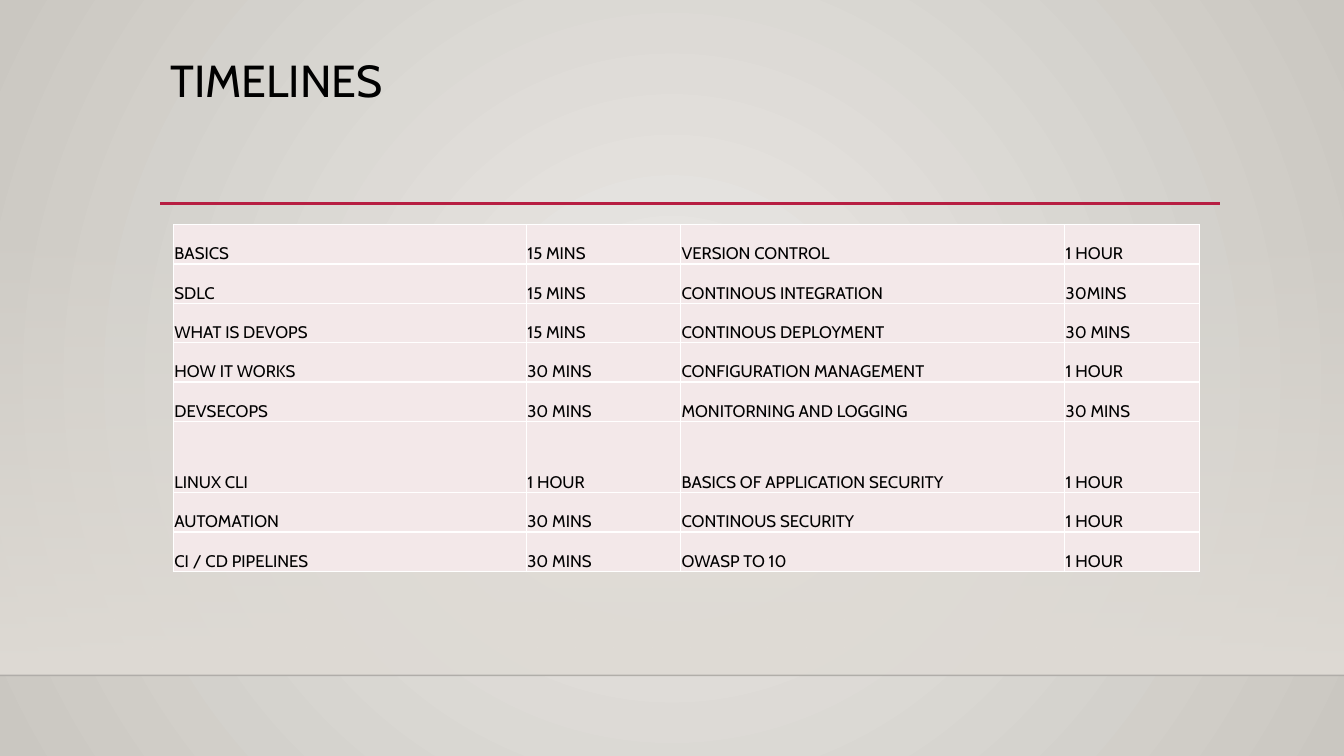
import pptx
import pptx.util
import pptx.dml.color
import pptx.enum.shapes
import pptx.enum.text
import pptx.oxml
import pptx.oxml.ns
from pptx.util import Inches

RGBColor = pptx.dml.color.RGBColor
BLACK = RGBColor(0x00, 0x00, 0x00)
WHITE = RGBColor(0xFF, 0xFF, 0xFF)
RED = RGBColor(0xB7, 0x1E, 0x42)
PINK = RGBColor(0xF3, 0xE8, 0xE9)
PALE = RGBColor(0xEC, 0xEA, 0xE7)
STONE = RGBColor(0xCA, 0xC7, 0xC1)
SAND = RGBColor(0xDF, 0xDB, 0xD5)
EDGE = RGBColor(0x00, 0x00, 0x01)
FONT = "Cabin"
NS = pptx.oxml.ns.nsdecls("a")
RADIAL = '<a:path path="circle"><a:fillToRect l="50000" t="50000" r="50000" b="50000"/></a:path>'
DOWN = '<a:lin ang="5400000" scaled="0"/>'

WIDTHS = [3.5, 1.53, 3.81, 1.34]
ROW = 0.39
TALL = 0.71
TOPICS = [
    ("BASICS", "15 MINS", "VERSION CONTROL", "1 HOUR"),
    ("SDLC", "15 MINS", "CONTINOUS INTEGRATION", "30MINS"),
    ("WHAT IS DEVOPS", "15 MINS", "CONTINOUS DEPLOYMENT", "30 MINS"),
    ("HOW IT WORKS", "30 MINS", "CONFIGURATION MANAGEMENT", "1 HOUR"),
    ("DEVSECOPS", "30 MINS", "MONITORNING AND LOGGING", "30 MINS"),
    ("LINUX CLI", "1 HOUR", "BASICS OF APPLICATION SECURITY", "1 HOUR"),
    ("AUTOMATION", "30 MINS", "CONTINOUS SECURITY", "1 HOUR"),
    ("CI / CD PIPELINES", "30 MINS", "OWASP TO 10", "1 HOUR"),
]


def tint(color, alpha):
    return f'<a:srgbClr val="{color}"><a:alpha val="{alpha * 1000}"/></a:srgbClr>'


def blend(fill, owner, first, last, shade):
    fill.gradient()
    old = owner.xpath(".//a:gradFill")[0]
    new = pptx.oxml.parse_xml(
        f'<a:gradFill {NS} rotWithShape="1"><a:gsLst><a:gs pos="0">{first}</a:gs>'
        f'<a:gs pos="100000">{last}</a:gs></a:gsLst>{shade}</a:gradFill>')
    old.getparent().replace(old, new)


def style(para, size):
    font = para.runs[0].font
    font.name = FONT
    font.size = pptx.util.Pt(size)
    font.color.rgb = BLACK


def add_floor(slide):
    floor = slide.shapes.add_shape(
        pptx.enum.shapes.MSO_SHAPE.RECTANGLE,
        Inches(0), Inches(2.21), Inches(13.33), Inches(4.49))
    floor.shadow.inherit = False
    floor.line.fill.background()
    blend(floor.fill, floor._element, tint(SAND, 0), tint(SAND, 100), DOWN)


def add_rule(slide, left, right, top, color, width, alpha=100):
    rule = slide.shapes.add_connector(
        pptx.enum.shapes.MSO_CONNECTOR.STRAIGHT,
        Inches(left), Inches(top), Inches(right), Inches(top))
    rule.line.color.rgb = color
    rule.line.width = pptx.util.Pt(width)
    props = rule._element.spPr
    if alpha < 100:
        shade = props.xpath(".//a:srgbClr")[0]
        shade.append(pptx.oxml.parse_xml(f'<a:alpha {NS} val="{alpha * 1000}"/>'))
    props.append(pptx.oxml.parse_xml(f"<a:effectLst {NS}/>"))


def add_title(slide, text):
    frame = slide.shapes.add_textbox(
        Inches(1.59), Inches(0.53), Inches(10.5), Inches(1.15)).text_frame
    frame.word_wrap = True
    frame.text = text
    frame.paragraphs[0].line_spacing = 0.9
    style(frame.paragraphs[0], 32)


def fill_cell(cell, text):
    cell.text_frame.text = text
    style(cell.text_frame.paragraphs[0], 12)
    cell.vertical_anchor = pptx.enum.text.MSO_ANCHOR.BOTTOM
    cell.margin_left = cell.margin_right = cell.margin_top = Inches(0.01)
    cell.margin_bottom = 0
    cell.fill.solid()
    cell.fill.fore_color.rgb = PINK
    props = cell._tc.get_or_add_tcPr()
    for spot, side in enumerate(("lnL", "lnR", "lnT", "lnB")):
        props.insert(spot, pptx.oxml.parse_xml(
            f'<a:{side} {NS} w="12700"><a:solidFill><a:srgbClr val="{WHITE}"/>'
            f"</a:solidFill></a:{side}>"))


def add_grid(slide):
    highs = [TALL if row[0] == "LINUX CLI" else ROW for row in TOPICS]
    table = slide.shapes.add_table(
        len(TOPICS), len(WIDTHS), Inches(1.72), Inches(2.23),
        Inches(sum(WIDTHS)), Inches(sum(highs))).table
    for col, width in zip(table.columns, WIDTHS):
        col.width = Inches(width)
    for row, high, texts in zip(table.rows, highs, TOPICS):
        row.height = Inches(high)
        for cell, text in zip(row.cells, texts):
            fill_cell(cell, text)


def main():
    deck = pptx.Presentation()
    deck.slide_width = Inches(13.33)
    deck.slide_height = Inches(7.5)
    slide = deck.slides.add_slide(deck.slide_layouts[6])
    blend(slide.background.fill, slide._element, tint(PALE, 100), tint(STONE, 100), RADIAL)
    add_floor(slide)
    add_rule(slide, 0, 13.33, 6.7, EDGE, 1, 20)
    add_rule(slide, 1.59, 12.1, 2.02, RED, 2.5)
    add_title(slide, "TIMELINES")
    add_grid(slide)
    deck.save("out.pptx")


if __name__ == "__main__":
    main()
